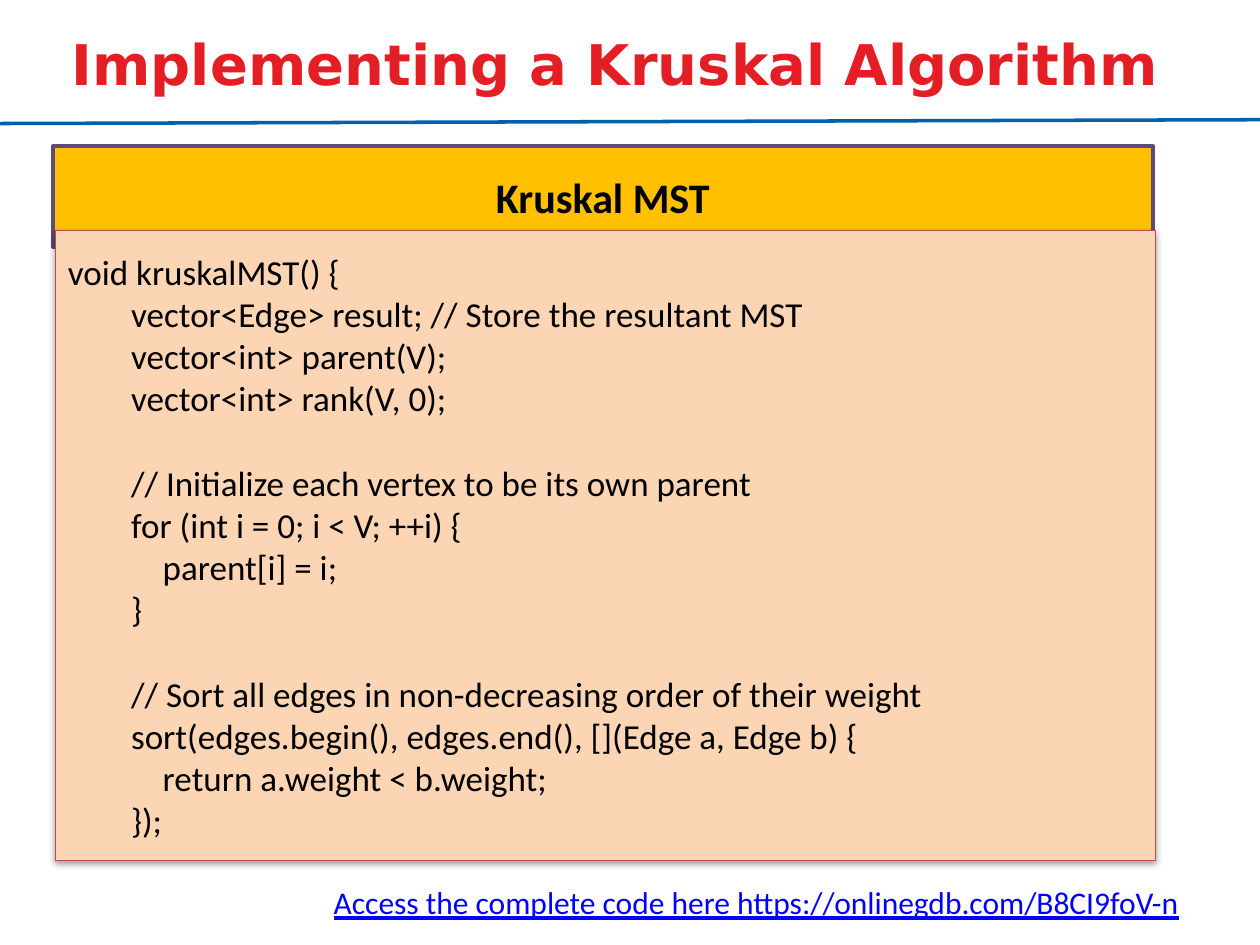
from lxml import etree
from pptx import Presentation
from pptx.dml.color import RGBColor as RGB
from pptx.enum.shapes import MSO_CONNECTOR as CONN, MSO_SHAPE as SHAPE
from pptx.enum.text import MSO_ANCHOR as ANCHOR, MSO_AUTO_SIZE as AUTO, PP_ALIGN as ALIGN
from pptx.oxml.ns import qn
from pptx.util import Pt

COLORS = {
    "title": "E31E24", "rule": "0060AA", "text": "000000", "link": "0000FF",
    "header": "FFC000", "header_line": "5F4A78",
    "code": "FCD5B5", "code_line": "BF4C48",
}

CODE = """void kruskalMST() {
        vector<Edge> result; // Store the resultant MST
        vector<int> parent(V);
        vector<int> rank(V, 0);

        // Initialize each vertex to be its own parent
        for (int i = 0; i < V; ++i) {
            parent[i] = i;
        }

        // Sort all edges in non-decreasing order of their weight
        sort(edges.begin(), edges.end(), [](Edge a, Edge b) {
            return a.weight < b.weight;
        });"""


class SlideBuilder:
    """Hold the style and the current slide, and draw each kind of element."""

    font = "Calibri"
    line_height = 1.22

    def __init__(self, prs):
        self.s = prs.slides.add_slide(prs.slide_layouts[6])

    def color(self, name):
        return RGB.from_string(COLORS[name])

    def fill_text(self, sp, text, size, color="text", font=None, bold=False,
                  underline=False, align=ALIGN.LEFT, anchor=ANCHOR.MIDDLE):
        tf = sp.text_frame
        tf.word_wrap = True
        tf.vertical_anchor = anchor
        gap = False
        p = None
        for line in text.split("\n"):
            if not line:
                gap = True
                continue
            p = tf.add_paragraph() if p is not None else tf.paragraphs[0]
            p.add_run().text = line
            p.alignment = align
            if gap:
                p.space_before = Pt(size * self.line_height)
                gap = False
            f = p.font
            f.name, f.size, f.bold = font or self.font, Pt(size), bold
            f.underline = underline
            f.color.rgb = self.color(color)

    def text(self, box, text, size, wrap=True, **style):
        sp = self.s.shapes.add_textbox(*map(Pt, box))
        self.fill_text(sp, text, size, **style)
        if not wrap:
            sp.text_frame.word_wrap = False
            sp.text_frame.auto_size = AUTO.SHAPE_TO_FIT_TEXT

    def line(self, start, end, color, width):
        c = self.s.shapes.add_connector(CONN.STRAIGHT, *map(Pt, start + end))
        c.line.color.rgb = self.color(color)
        c.line.width = Pt(width)
        etree.SubElement(c._element.spPr, qn("a:effectLst"))

    def panel(self, box, fill, width, text, size, shadow=False, **style):
        sp = self.s.shapes.add_shape(SHAPE.RECTANGLE, *map(Pt, box))
        sp.fill.solid()
        sp.fill.fore_color.rgb = self.color(fill)
        sp.line.color.rgb = self.color(fill + "_line")
        sp.line.width = Pt(width)
        sp.shadow.inherit = False
        if shadow:
            self.add_shadow(sp)
        self.fill_text(sp, text, size, **style)

    def add_shadow(self, sp):
        effects = sp._element.spPr.find(qn("a:effectLst"))
        outer = etree.SubElement(effects, qn("a:outerShdw"), blurRad=str(Pt(3.1)),
                                 dist=str(Pt(1.6)), dir="5400000", rotWithShape="0")
        black = etree.SubElement(outer, qn("a:srgbClr"), val=COLORS["text"])
        etree.SubElement(black, qn("a:alpha"), val="38000")


def main():
    prs = Presentation()
    prs.slide_width, prs.slide_height = Pt(720), Pt(540)
    b = SlideBuilder(prs)
    b.text((8.6, 2.2, 686, 67.7), "Implementing a Kruskal Algorithm", 32,
           color="title", font="DejaVu Sans", bold=True, align=ALIGN.CENTER)
    b.line((0, 70.6), (720, 68.4), "rule", 2)
    b.panel((30.2, 83.5, 628.6, 57.6), "header", 2, "Kruskal MST", 24,
            bold=True, align=ALIGN.CENTER)
    b.panel((31.7, 131.8, 628.6, 360), "code", 0.75, CODE, 20, shadow=True)
    b.text((183.6, 501.1, 500.4, 36),
           "Access the complete code here https://onlinegdb.com/B8CI9foV-n", 18,
           wrap=False, color="link", underline=True, anchor=ANCHOR.TOP)
    prs.save("out.pptx")


if __name__ == "__main__":
    main()
